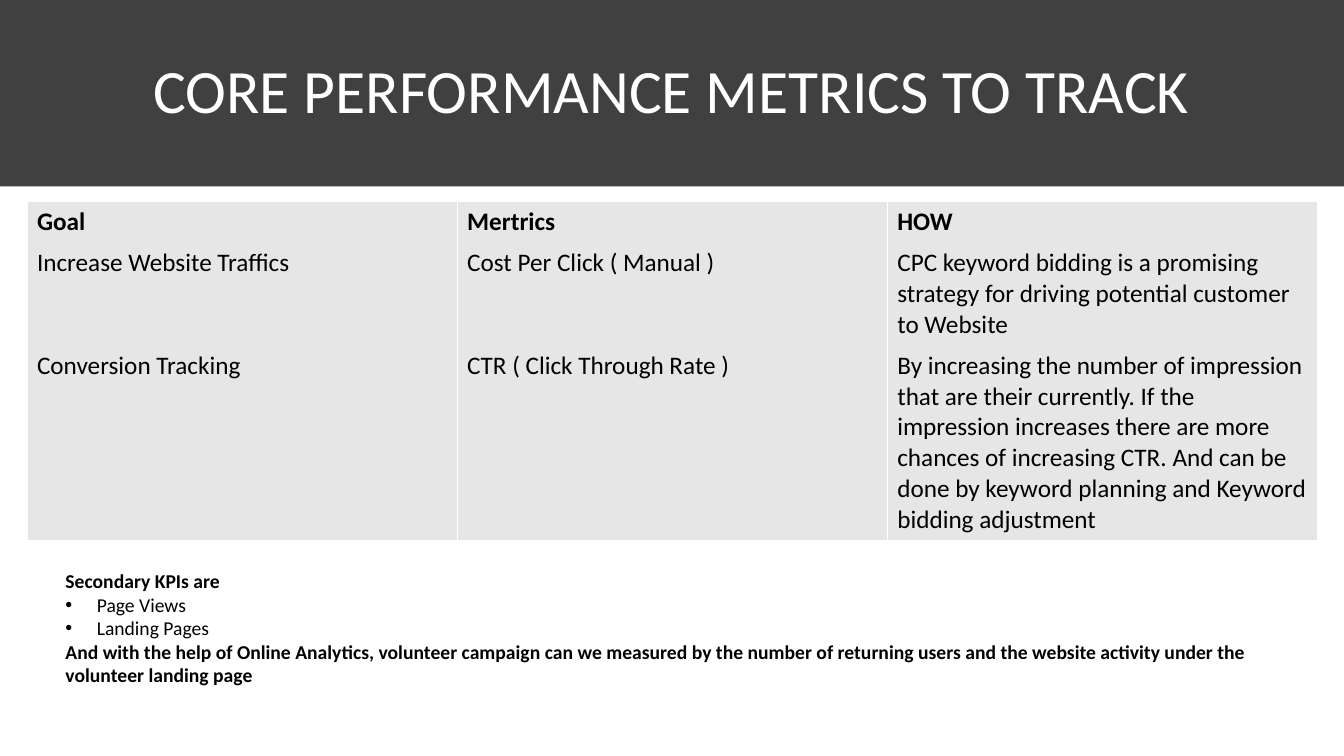
from lxml import etree
from pptx import Presentation
from pptx.dml.color import RGBColor
from pptx.enum.text import MSO_ANCHOR, MSO_AUTO_SIZE, PP_ALIGN
from pptx.oxml.ns import qn
from pptx.util import Cm, Pt

FONT = "Calibri"
WHITE = RGBColor(0xFF, 0xFF, 0xFF)
BLACK = RGBColor(0, 0, 0)
CHARCOAL = RGBColor(0x40, 0x40, 0x40)
LIGHT_GRAY = RGBColor(0xE7, 0xE6, 0xE6)
CENTER = PP_ALIGN.CENTER
MIDDLE = MSO_ANCHOR.MIDDLE
NO_AUTOFIT = MSO_AUTO_SIZE.NONE
GROW = MSO_AUTO_SIZE.SHAPE_TO_FIT_TEXT

SLIDE_W, SLIDE_H = Cm(33.87), Cm(19.05)
COLUMN_W = Cm(10.84)
ROW_HEIGHTS = [Cm(1.03), Cm(2.59), Cm(4.79)]
BULLET_INDENT = Cm(0.79)

METRICS = [
    ["Goal", "Mertrics", "HOW"],
    ["Increase Website Traffics", "Cost Per Click ( Manual )",
     "CPC keyword bidding is a promising strategy for driving potential "
     "customer to Website"],
    ["Conversion Tracking", "CTR ( Click Through Rate )",
     "By increasing the number of impression that are their currently. If the "
     "impression increases there are more chances of increasing CTR. And can be "
     "done by keyword planning and Keyword bidding adjustment"],
]
SECONDARY_KPIS = [
    ("Secondary KPIs are", {"bold": True}),
    ("Page Views", {"bullet": True}),
    ("Landing Pages", {"bullet": True}),
    ("And with the help of Online Analytics, volunteer campaign can we measured "
     "by the number of returning users and the website activity under the "
     "volunteer landing page", {"bold": True}),
]


def write(p, text, size=18, color=BLACK, bold=False, align=None, spacing=None,
          bullet=False):
    if bullet:
        pPr = p._p.get_or_add_pPr()
        pPr.set("marL", str(BULLET_INDENT))
        pPr.set("indent", str(-BULLET_INDENT))
        etree.SubElement(pPr, qn("a:buFont"), typeface="Arial")
        etree.SubElement(pPr, qn("a:buChar"), char="•")
    if align is not None:
        p.alignment = align
    if spacing is not None:
        p.line_spacing = spacing
    r = p.add_run()
    r.text = text
    r.font.name = FONT
    r.font.size = Pt(size)
    r.font.bold = bold
    r.font.color.rgb = color


def add_title(s, text):
    sp = s.shapes.title
    sp.left, sp.top, sp.width, sp.height = 0, 0, SLIDE_W, Cm(4.7)
    sp.fill.solid()
    sp.fill.fore_color.rgb = CHARCOAL
    tf = sp.text_frame
    tf.auto_size = NO_AUTOFIT
    tf.vertical_anchor = MIDDLE
    write(tf.paragraphs[0], text, size=44, color=WHITE, align=CENTER, spacing=0.9)


def set_borders(cell):
    """Draw white lines at the sides and none above or below."""
    tcPr = cell._tc.get_or_add_tcPr()
    for side in ("lnL", "lnR"):
        ln = etree.SubElement(tcPr, qn(f"a:{side}"), w=str(Pt(1)))
        fill = etree.SubElement(ln, qn("a:solidFill"))
        etree.SubElement(fill, qn("a:srgbClr"), val=str(WHITE))
    for side in ("lnT", "lnB"):
        ln = etree.SubElement(tcPr, qn(f"a:{side}"), w="0")
        etree.SubElement(ln, qn("a:noFill"))


def add_metrics_table(s, rows):
    columns = len(rows[0])
    table = s.shapes.add_table(len(rows), columns, Cm(0.68), Cm(5.08),
                               COLUMN_W * columns, sum(ROW_HEIGHTS)).table
    table.horz_banding = False
    for column in table.columns:
        column.width = COLUMN_W
    for i, (row, height) in enumerate(zip(rows, ROW_HEIGHTS)):
        table.rows[i].height = height
        for j, text in enumerate(row):
            cell = table.cell(i, j)
            set_borders(cell)
            cell.fill.solid()
            cell.fill.fore_color.rgb = LIGHT_GRAY
            write(cell.text_frame.paragraphs[0], text, bold=i == 0)


def add_notes_box(s, lines):
    tf = s.shapes.add_textbox(Cm(1.4), Cm(14.22), Cm(30.99), Cm(3.25)).text_frame
    tf.word_wrap = True
    tf.auto_size = GROW
    for i, (text, style) in enumerate(lines):
        p = tf.add_paragraph() if i else tf.paragraphs[0]
        write(p, text, size=14, **style)


def main():
    prs = Presentation()
    prs.slide_width, prs.slide_height = SLIDE_W, SLIDE_H
    s = prs.slides.add_slide(prs.slide_layouts.get_by_name("Title Only"))
    add_title(s, "CORE PERFORMANCE METRICS TO TRACK")
    add_metrics_table(s, METRICS)
    add_notes_box(s, SECONDARY_KPIS)
    prs.save("out.pptx")


if __name__ == "__main__":
    main()
